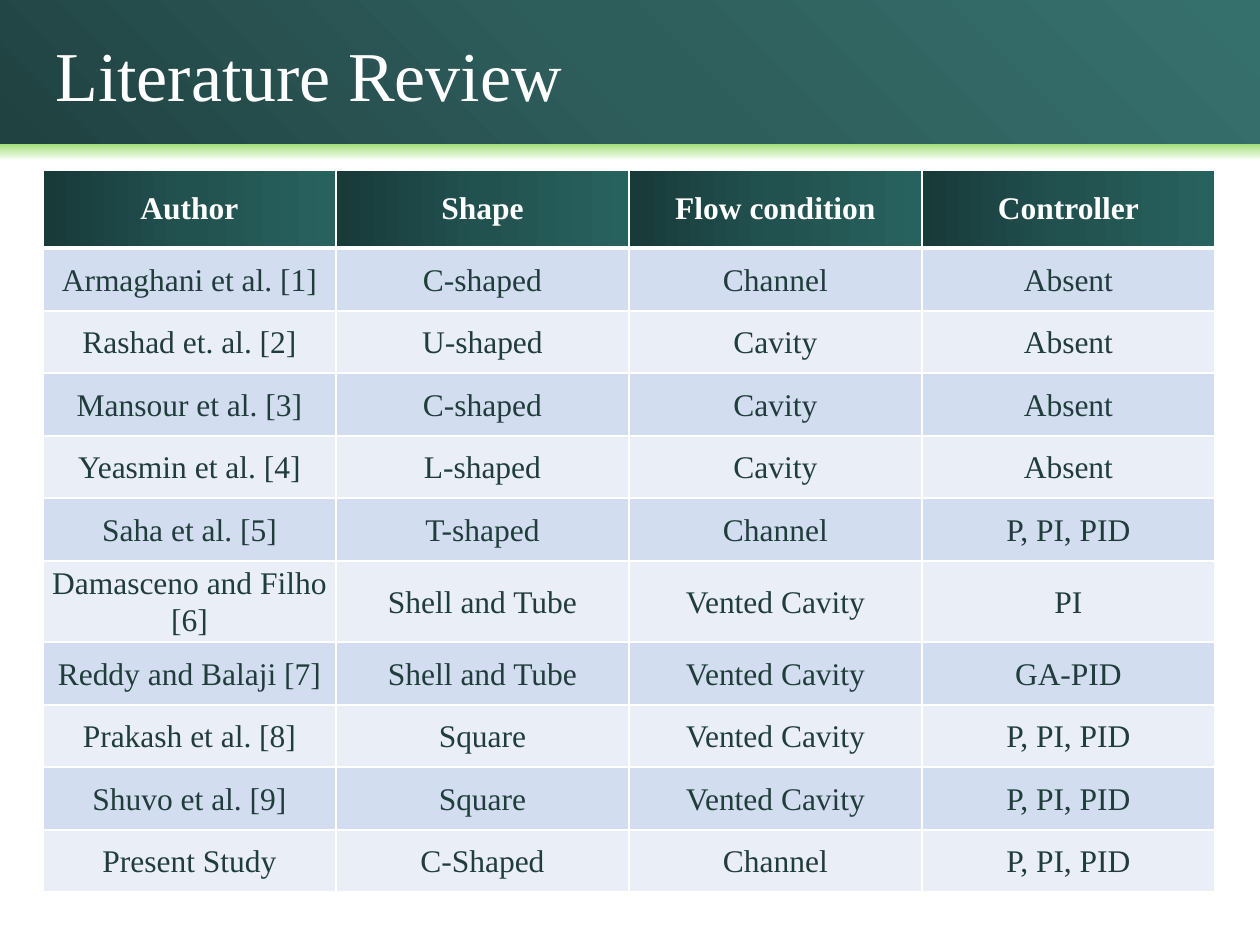
from lxml import etree
from pptx import Presentation
from pptx.dml.color import RGBColor
from pptx.enum.shapes import MSO_SHAPE
from pptx.enum.text import MSO_ANCHOR, MSO_AUTO_SIZE, PP_ALIGN
from pptx.oxml import parse_xml
from pptx.oxml.ns import nsdecls, qn
from pptx.util import Emu, Pt

PX = 914400 / 126
FONT = "Times New Roman"
WHITE, INK = "FFFFFF", "203C3B"
BANDS = ["EAEFF7", "D2DEEF"]

ROWS = [
    ["Author", "Shape", "Flow condition", "Controller"],
    ["Armaghani et al. [1]", "C-shaped", "Channel", "Absent"],
    ["Rashad et. al. [2]", "U-shaped", "Cavity", "Absent"],
    ["Mansour et al. [3]", "C-shaped", "Cavity", "Absent"],
    ["Yeasmin et al. [4]", "L-shaped", "Cavity", "Absent"],
    ["Saha et al. [5]", "T-shaped", "Channel", "P, PI, PID"],
    ["Damasceno and Filho [6]", "Shell and Tube", "Vented Cavity", "PI"],
    ["Reddy and Balaji [7]", "Shell and Tube", "Vented Cavity", "GA-PID"],
    ["Prakash et al. [8]", "Square", "Vented Cavity", "P, PI, PID"],
    ["Shuvo et al. [9]", "Square", "Vented Cavity", "P, PI, PID"],
    ["Present Study", "C-Shaped", "Channel", "P, PI, PID"],
]


def style(p, size, color, bold=False):
    for r in p.runs:
        r.font.name, r.font.size, r.font.bold = FONT, Pt(size), bold
        r.font.color.rgb = RGBColor.from_string(color)


def gradient(colors, angle):
    step = 100000 // (len(colors) - 1)
    stops = "".join(f'<a:gs pos="{i * step}"><a:srgbClr val="{c}"/></a:gs>'
                    for i, c in enumerate(colors))
    return parse_xml(f'<a:gradFill {nsdecls("a")} rotWithShape="1"><a:gsLst>{stops}</a:gsLst>'
                     f'<a:lin ang="{angle * 60000}" scaled="0"/></a:gradFill>')


prs = Presentation()
prs.slide_width, prs.slide_height = Emu(int(1260 * PX)), Emu(int(945 * PX))
s = prs.slides.add_slide(prs.slide_layouts[6])

# Banner and the green strip below it
for top, height, colors, angle in [
    (0, 144, ["204241", "2E5E5C", "36706D"], 315),
    (144, 17, ["A2E07A", "FFFFFF"], 90),
]:
    sp = s.shapes.add_shape(MSO_SHAPE.RECTANGLE, 0, int(top * PX), int(1260 * PX), int(height * PX))
    sp.shadow.inherit = False
    sp.line.fill.background()
    geometry = sp.element.spPr.find(qn("a:prstGeom"))
    geometry.addnext(gradient(colors, angle))

# Title
title = s.shapes.add_textbox(*(int(v * PX) for v in (43, 25, 575, 97)))
tf = title.text_frame
tf.word_wrap = True
tf.auto_size = MSO_AUTO_SIZE.SHAPE_TO_FIT_TEXT
tf.text = "Literature Review"
style(tf.paragraphs[0], 40, WHITE)

# Literature table
heights = [62 + i % 2 for i in range(len(ROWS))]
heights[0], heights[6] = 78, 81
frame = s.shapes.add_table(len(ROWS), 4, *(int(v * PX) for v in (43, 170, 1172, sum(heights))))
table = frame.table
for col in table.columns:
    col.width = int(293 * PX)

for i, (row, height) in enumerate(zip(ROWS, heights)):
    table.rows[i].height = int(height * PX)
    for j, text in enumerate(row):
        cell = table.cell(i, j)
        cell.text = text
        cell.vertical_anchor = MSO_ANCHOR.MIDDLE
        p = cell.text_frame.paragraphs[0]
        p.alignment = PP_ALIGN.CENTER
        style(p, 18, INK if i else WHITE, bold=i == 0)

        # White borders, heavier around the header's lower edge
        tcPr = cell._tc.get_or_add_tcPr()
        for side in "LRTB":
            heavy = (i, side) in [(0, "B"), (1, "T")]
            ln = etree.SubElement(tcPr, qn(f"a:ln{side}"), w=str(Pt(3 if heavy else 1)))
            fill = etree.SubElement(ln, qn("a:solidFill"))
            etree.SubElement(fill, qn("a:srgbClr"), val=WHITE)

        if i == 0:
            tcPr.append(gradient(["183A39", "225250", "28625F"], 0))
        else:
            p.line_spacing = 1.07
            cell.margin_left = cell.margin_right = int(9 * PX)
            cell.margin_top = cell.margin_bottom = 0
            cell.fill.solid()
            cell.fill.fore_color.rgb = RGBColor.from_string(BANDS[i % 2])

prs.save("out.pptx")
